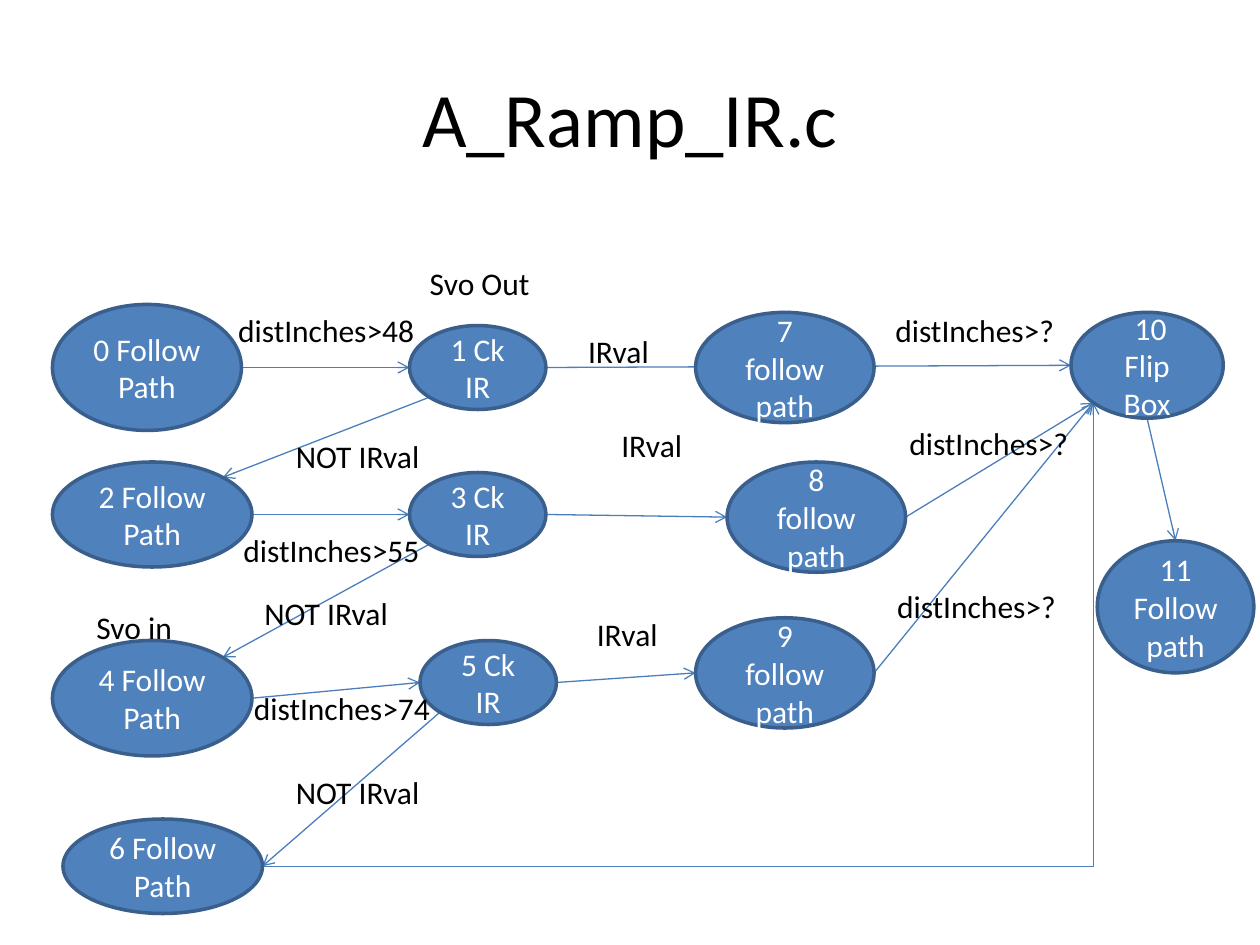
from lxml import etree
from pptx import Presentation
from pptx.dml.color import RGBColor
from pptx.enum.shapes import MSO_CONNECTOR, MSO_SHAPE
from pptx.enum.text import MSO_ANCHOR, MSO_AUTO_SIZE, PP_ALIGN
from pptx.oxml.ns import qn
from pptx.util import Pt

OVAL = MSO_SHAPE.OVAL
LINE, ELBOW = MSO_CONNECTOR.STRAIGHT, MSO_CONNECTOR.ELBOW
MIDDLE, CENTER = MSO_ANCHOR.MIDDLE, PP_ALIGN.CENTER
GROW = MSO_AUTO_SIZE.SHAPE_TO_FIT_TEXT

BLUE = RGBColor(0x4F, 0x81, 0xBD)
EDGE = RGBColor(0x3A, 0x5F, 0x8C)
WIRE = RGBColor(0x4B, 0x7E, 0xBC)
BLACK = RGBColor(0, 0, 0)
WHITE = RGBColor(255, 255, 255)

DIAG = 0.5 ** 0.5
SITES = {
    "left": (-1, 0), "right": (1, 0), "top": (0, -1), "base": (0, 1),
    "upright": (DIAG, -DIAG), "lowleft": (-DIAG, DIAG),
}

STATES = {
    0: ("0 Follow Path", 30, 174, 108, 72),
    1: ("1 Ck IR", 234, 186, 78, 48),
    2: ("2 Follow Path", 30, 264, 114, 60),
    3: ("3 Ck IR", 234, 270, 78, 48),
    4: ("4 Follow Path", 30, 366, 114, 66),
    5: ("5 Ck IR", 240, 366, 78, 48),
    6: ("6 Follow Path", 36, 468, 114, 54),
    7: ("7 follow path", 397.5, 178.5, 102, 63),
    8: ("8 follow path", 415.5, 264, 102, 63),
    9: ("9 follow path", 397.5, 353, 102, 63),
    10: (" 10 Flip Box", 612, 178.5, 87, 60.5),
    11: ("11 Follow path", 627, 309, 89.5, 75.5),
}

MOVES = [
    (0, "right", 1, "left"),
    (1, "right", 10, "left"),
    (1, "lowleft", 2, "upright"),
    (2, "right", 3, "left"),
    (3, "right", 8, "left"),
    (3, "lowleft", 4, "upright"),
    (4, "right", 5, "left"),
    (5, "right", 9, "left"),
    (5, "lowleft", 6, "right"),
    (8, "right", 10, "lowleft"),
    (9, "right", 10, "lowleft"),
    (10, "base", 11, "top"),
]

LABELS = [
    ("Svo Out", 238.5, 147.5, 72),
    ("Svo in", 48, 344, 62.5),
    ("distInches>48", 129, 174, 116.5),
    ("distInches>55", 132, 300, 116.5),
    ("distInches>74", 138, 390, 116.5),
    ("NOT IRval", 162, 246, 85.5),
    ("NOT IRval", 144, 336, 85.5),
    ("NOT IRval", 162, 438, 85.5),
    ("IRval", 329, 186, 49.5),
    ("IRval", 348, 240, 49.5),
    ("IRval", 334, 348, 49.5),
    ("distInches>?", 504.5, 174, 106.5),
    ("distInches>?", 512.5, 239, 106.5),
    ("distInches>?", 505.5, 332, 106.5),
]


def write(frame, text, size, color):
    para = frame.paragraphs[0]
    para.text = text
    font = para.font
    font.name, font.size = "Calibri", Pt(size)
    font.color.rgb = color
    return para


def site(state, side):
    _, left, top, width, height = STATES[state]
    dx, dy = SITES[side]
    return Pt(left + width / 2 * (1 + dx)), Pt(top + height / 2 * (1 + dy))


def add_arrow(slide, start, side, end, edge, kind=LINE):
    wire = slide.shapes.add_connector(kind, *site(start, side), *site(end, edge))
    wire.line.color.rgb = WIRE
    wire.line.width = Pt(0.75)
    etree.SubElement(wire.line._get_or_add_ln(), qn("a:tailEnd"), type="arrow")
    props = wire._element.spPr
    etree.SubElement(props, qn("a:effectLst"))
    if kind == ELBOW:
        props.find(qn("a:prstGeom")).set("prst", "bentConnector2")


def add_state(slide, text, *box):
    oval = slide.shapes.add_shape(OVAL, *map(Pt, box))
    oval.shadow.inherit = False
    oval.fill.solid()
    oval.fill.fore_color.rgb = BLUE
    oval.line.color.rgb = EDGE
    oval.line.width = Pt(2)
    frame = oval.text_frame
    frame.word_wrap = True
    frame.vertical_anchor = MIDDLE
    write(frame, text, 18, WHITE).alignment = CENTER


def add_label(slide, text, left, top, width):
    box = slide.shapes.add_textbox(Pt(left), Pt(top), Pt(width), Pt(29))
    frame = box.text_frame
    frame.word_wrap = False
    frame.auto_size = GROW
    write(frame, text, 18, BLACK)


def add_title(slide, text):
    frame = slide.shapes.add_textbox(Pt(36), Pt(21.6), Pt(648), Pt(90)).text_frame
    frame.word_wrap = True
    frame.vertical_anchor = MIDDLE
    write(frame, text, 44, BLACK).alignment = CENTER


def main():
    deck = Presentation()
    deck.slide_width, deck.slide_height = Pt(720), Pt(540)
    slide = deck.slides.add_slide(deck.slide_layouts[6])
    add_title(slide, "A_Ramp_IR.c")
    for move in MOVES:
        add_arrow(slide, *move)
    add_arrow(slide, 6, "right", 10, "lowleft", ELBOW)
    for state in STATES.values():
        add_state(slide, *state)
    for label in LABELS:
        add_label(slide, *label)
    deck.save("out.pptx")


if __name__ == "__main__":
    main()
